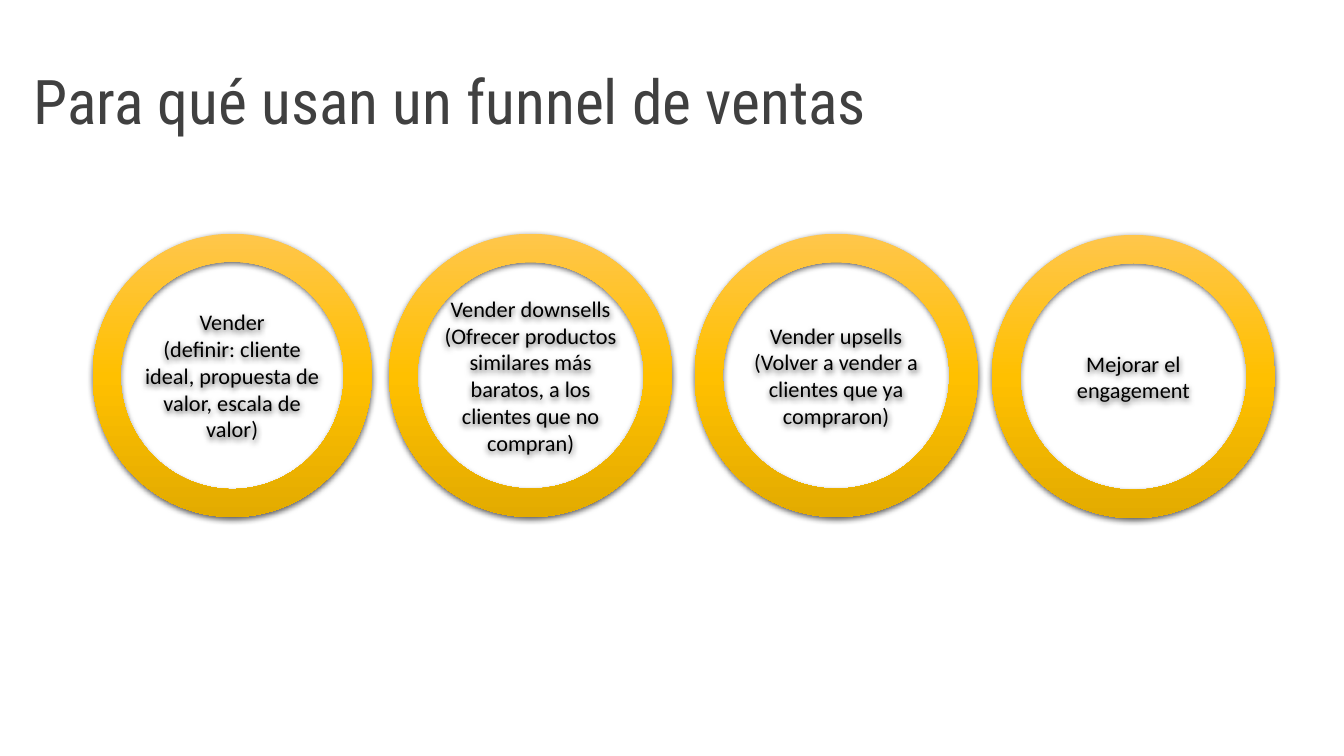
"""Build the slide on what a sales funnel is used for."""
from copy import deepcopy
from dataclasses import dataclass

from lxml import etree
from pptx import Presentation
from pptx.dml.color import RGBColor
from pptx.enum.shapes import MSO_SHAPE
from pptx.enum.text import MSO_ANCHOR, MSO_AUTO_SIZE, PP_ALIGN
from pptx.oxml.ns import qn
from pptx.util import Pt

DONUT = MSO_SHAPE.DONUT
MIDDLE = MSO_ANCHOR.MIDDLE
FIXED = MSO_AUTO_SIZE.NONE
LEFT, CENTER = PP_ALIGN.LEFT, PP_ALIGN.CENTER
GOLD = ((0, "FFC64B"), (0.5, "FFC000"), (1, "E3AB00"))
SIZE = 202.3


@dataclass
class Ring:
    left: float
    lines: list[str]
    top: float = 167
    width: float = SIZE


RINGS = [
    Ring(66.2, ["Vender", "(definir: cliente ideal, propuesta de valor, escala de valor)"],
         width=199.4),
    Ring(277.9, ["Vender downsells",
                 "(Ofrecer productos similares más baratos, a los clientes que no compran)"]),
    Ring(496.1, ["Vender upsells", "(Volver a vender a clientes que ya compraron)"]),
    Ring(708.5, ["Mejorar el engagement"], top=167.8),
]


def color(code: str) -> RGBColor:
    return RGBColor.from_string(code)


def write(shape, lines: list[str], *, font: str, size: float, ink: str,
          align: PP_ALIGN, pitch: float = 1) -> None:
    frame = shape.text_frame
    frame.word_wrap = True
    frame.auto_size = FIXED
    frame.vertical_anchor = MIDDLE
    frame.text = "\n".join(lines)
    for par in frame.paragraphs:
        par.alignment = align
        par.line_spacing = pitch
        for run in par.runs:
            run.font.name = font
            run.font.size = Pt(size)
            run.font.color.rgb = color(ink)


def shade(shape) -> None:
    shape.fill.gradient()
    shape.fill.gradient_angle = 270
    stops = shape._element.spPr.find(".//" + qn("a:gsLst"))
    stops.insert(1, deepcopy(stops[0]))
    for stop, (place, code) in zip(shape.fill.gradient_stops, GOLD):
        stop.position = place
        stop.color.rgb = color(code)


def drop(shape) -> None:
    shape.shadow.inherit = False
    effect = shape._element.spPr.find(qn("a:effectLst"))
    outer = etree.SubElement(effect, qn("a:outerShdw"), blurRad=str(Pt(4.5)),
                             dist=str(Pt(1.5)), dir="5400000", algn="ctr", rotWithShape="0")
    black = etree.SubElement(outer, qn("a:srgbClr"), val="000000")
    etree.SubElement(black, qn("a:alpha"), val="63000")


def draw(slide, ring: Ring) -> None:
    shape = slide.shapes.add_shape(DONUT, Pt(ring.left), Pt(ring.top),
                                   Pt(ring.width), Pt(SIZE))
    shape.adjustments[0] = 0.1
    shape.line.fill.background()
    shade(shape)
    drop(shape)
    write(shape, ring.lines, font="Calibri", size=15.9, ink="000000", align=CENTER)


def main() -> None:
    deck = Presentation()
    deck.slide_width, deck.slide_height = Pt(960), Pt(540)
    slide = deck.slides.add_slide(deck.slide_layouts[5])
    title = slide.shapes.title
    title.left, title.top = Pt(16.6), Pt(22.3)
    title.width, title.height = Pt(889.2), Pt(104.4)
    write(title, ["Para qué usan un funnel de ventas"], font="Roboto Condensed",
          size=44, ink="404040", align=LEFT, pitch=0.9)
    for ring in RINGS:
        draw(slide, ring)
    deck.save("out.pptx")


if __name__ == "__main__":
    main()
